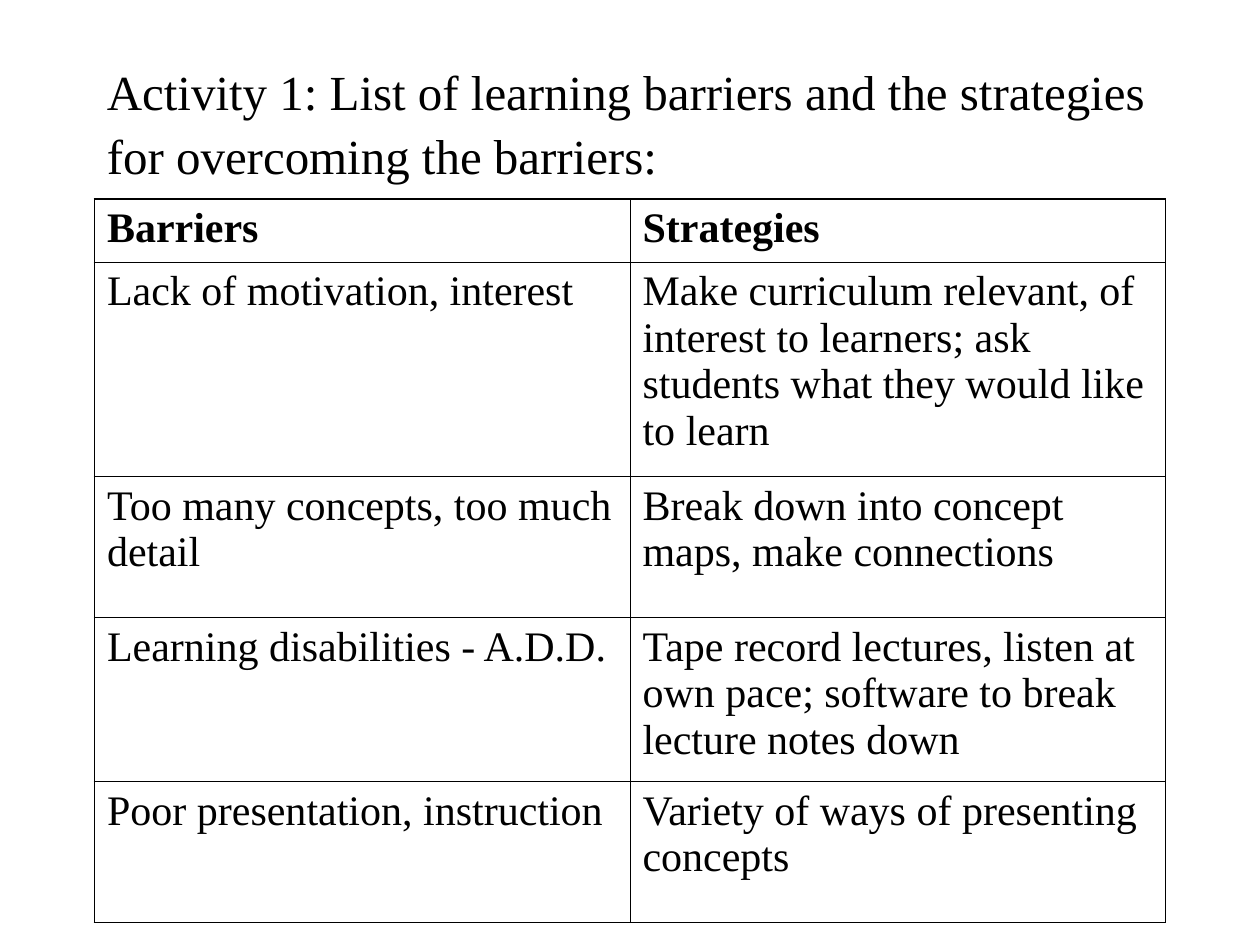
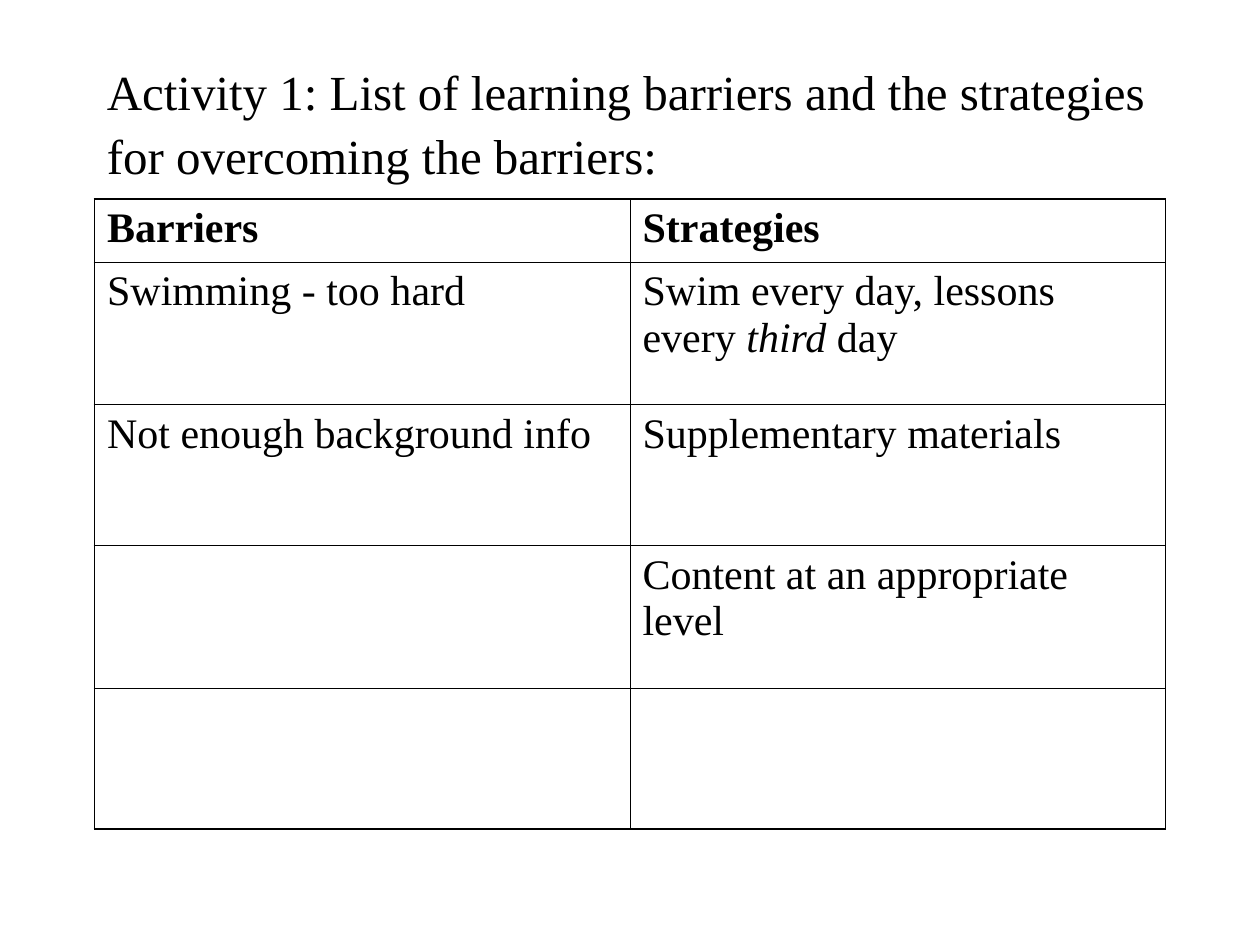
from lxml.etree import SubElement
from pptx import Presentation
from pptx.dml.color import RGBColor
from pptx.enum.text import MSO_ANCHOR
from pptx.oxml.ns import qn
from pptx.util import Inches, Pt

BLACK = RGBColor(0x00, 0x00, 0x00)
FONT = "Times New Roman"
SLIDE_WIDTH, SLIDE_HEIGHT = Inches(10), Inches(7.5)
MARGIN = Inches(0.75)
CONTENT_WIDTH = SLIDE_WIDTH - 2 * MARGIN
HEADING_TOP, HEADING_HEIGHT = Inches(0.33), Inches(1.25)
TABLE_TOP = HEADING_TOP + HEADING_HEIGHT
OUTER_LINE, INNER_LINE = Pt(1.08), Pt(0.45)

HEADING = "Activity 1: List of learning barriers and the strategies for overcoming the barriers:"
COLUMN_HEADS = ("Barriers", "Strategies")
HEAD_HEIGHT = 0.5
ACTIVITY_PAGES = [
    [
        (1.7, "Lack of motivation, interest",
         "Make curriculum relevant, of interest to learners; "
         "ask students what they would like to learn"),
        (1.12, "Too many concepts, too much detail",
         "Break down into concept maps, make connections"),
        (1.3, "Learning disabilities - A.D.D.",
         "Tape record lectures, listen at own pace; software to break lecture notes down"),
        (1.12, "Poor presentation, instruction",
         "Variety of ways of presenting concepts"),
    ],
    [
        (1.13, "Swimming - too hard", "Swim every day, lessons every *third* day"),
        (1.12, "Not enough background info", "Supplementary materials"),
        (1.13, "", "Content at an appropriate level"),
        (1.12, "", ""),
    ],
]


def write_text(frame, text, size, bold=False, space_before=0, line_spacing=1.0):
    frame.word_wrap = True
    paragraph = frame.paragraphs[0]
    paragraph.space_before = Pt(space_before)
    paragraph.line_spacing = line_spacing
    paragraph.font.size = Pt(size)
    for position, part in enumerate(text.split("*")):
        if not part:
            continue
        run = paragraph.add_run()
        run.text = part
        run.font.name = FONT
        run.font.size = Pt(size)
        run.font.bold = bold
        run.font.italic = position % 2 == 1
        run.font.color.rgb = BLACK


def add_heading(slide):
    heading = slide.shapes.add_textbox(MARGIN, HEADING_TOP, CONTENT_WIDTH, HEADING_HEIGHT)
    heading.text_frame.vertical_anchor = MSO_ANCHOR.MIDDLE
    write_text(heading.text_frame, HEADING, size=28, line_spacing=1.09)


def draw_borders(cell, outer_sides):
    properties = cell._tc.get_or_add_tcPr()
    for side in "LRTB":
        width = OUTER_LINE if side in outer_sides else INNER_LINE
        border = SubElement(properties, qn(f"a:ln{side}"), w=str(int(width)))
        fill = SubElement(border, qn("a:solidFill"))
        SubElement(fill, qn("a:srgbClr"), val=str(BLACK))


def add_barrier_table(slide, entries):
    rows = [(HEAD_HEIGHT, *COLUMN_HEADS), *entries]
    height = Inches(sum(row[0] for row in rows))
    table = slide.shapes.add_table(
        len(rows), len(COLUMN_HEADS), MARGIN, TABLE_TOP, CONTENT_WIDTH, height
    ).table
    table.first_row = table.horz_banding = False
    for row_index, (row_height, *texts) in enumerate(rows):
        table.rows[row_index].height = Inches(row_height)
        for column_index, text in enumerate(texts):
            cell = table.cell(row_index, column_index)
            outer_sides = "LR"[column_index]
            if row_index == 0:
                outer_sides += "T"
            if row_index == len(rows) - 1:
                outer_sides += "B"
            draw_borders(cell, outer_sides)
            cell.fill.background()
            write_text(cell.text_frame, text, size=24, bold=row_index == 0, space_before=6)


def main():
    deck = Presentation()
    deck.slide_width, deck.slide_height = SLIDE_WIDTH, SLIDE_HEIGHT
    for entries in ACTIVITY_PAGES:
        slide = deck.slides.add_slide(deck.slide_layouts[6])
        add_heading(slide)
        add_barrier_table(slide, entries)
    deck.save("out.pptx")


if __name__ == "__main__":
    main()
